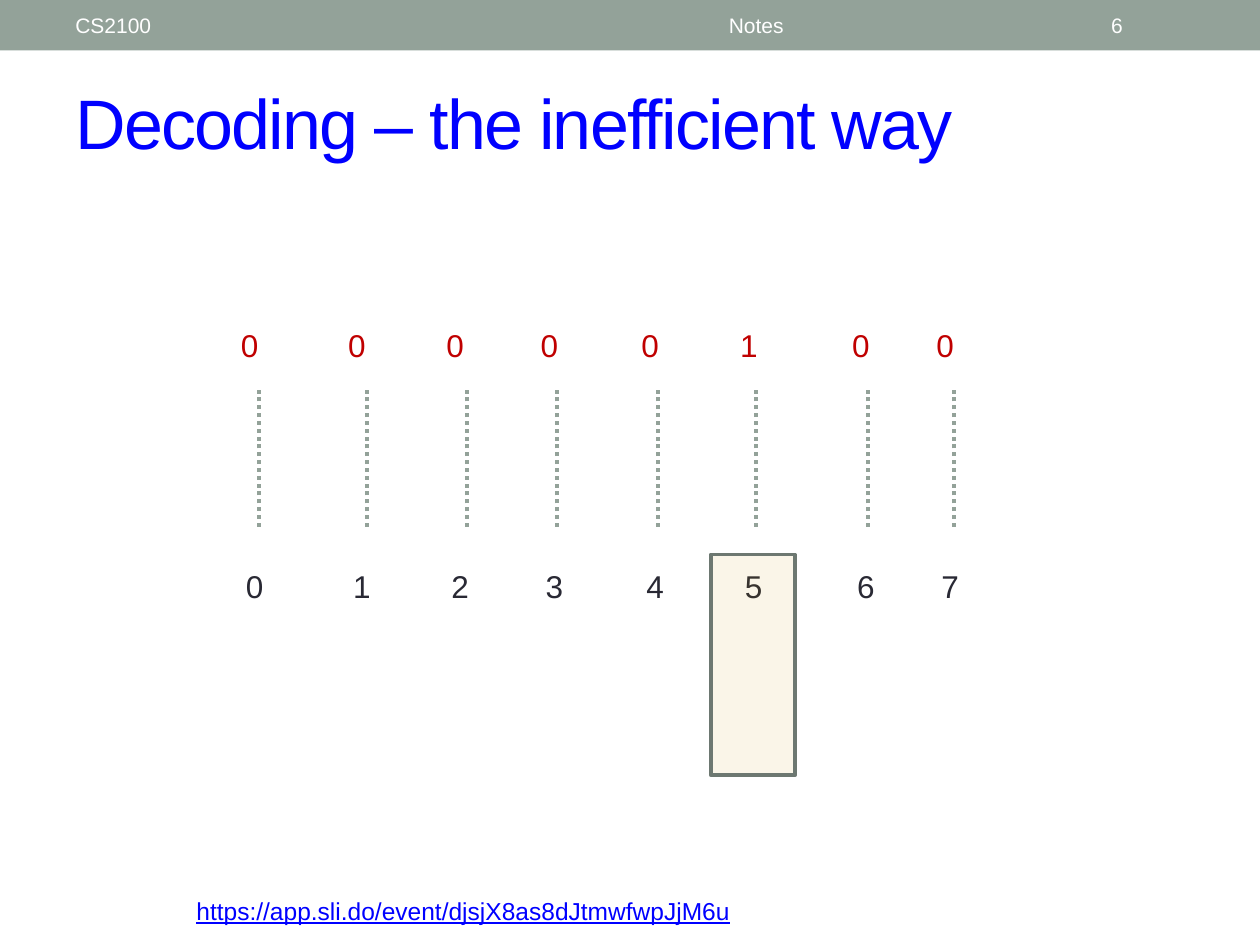
from dataclasses import dataclass

import pptx
import pptx.dml.color
import pptx.enum.dml
import pptx.enum.shapes
import pptx.enum.text
import pptx.oxml.ns
import pptx.util
from lxml import etree

Cm = pptx.util.Cm
Align = pptx.enum.text.PP_ALIGN
Anchor = pptx.enum.text.MSO_ANCHOR


@dataclass(frozen=True)
class Theme:
    font: str = "Arial"
    band: str = "93A299"
    white: str = "FFFFFF"
    blue: str = "0000FF"
    ink: str = "292934"
    red: str = "C00000"
    highlight: str = "CC9900"
    highlight_edge: str = "6D7871"
    header_size: int = 12
    link_size: int = 14
    digit_size: int = 18
    title_size: int = 40


@dataclass(frozen=True)
class Label:
    text: str
    left: float
    top: float
    width: float
    height: float
    size: int
    color: str
    align: Align = Align.LEFT
    anchor: Anchor = Anchor.MIDDLE
    underline: bool = False
    spacing: int = 0  # hundredths of a point
    grow: bool = False


@dataclass(frozen=True)
class OutputLine:
    number: int
    digit_left: float
    wire_x: float


THEME = Theme()
SELECTED = 5
DIGIT_WIDTH, DIGIT_HEIGHT = 1.07, 1.02
NUMBER_TOP, BIT_TOP = 11.3, 6.45
BIT_SHIFT = -0.1
WIRE_TOP, WIRE_BOTTOM = 7.87, 10.62

DIGIT_LEFTS = (4.6, 6.76, 8.74, 10.64, 12.67, 14.66, 16.92, 18.62)
WIRE_XS = (5.23, 7.39, 9.42, 11.23, 13.26, 15.24, 17.5, 19.23)
OUTPUTS = [OutputLine(number, left, x)
           for number, (left, x) in enumerate(zip(DIGIT_LEFTS, WIRE_XS))]

LABELS = [
    Label("https://app.sli.do/event/djsjX8as8dJtmwfwpJjM6u", 3.71, 17.93, 20.42, 0.86,
          THEME.link_size, THEME.blue, anchor=Anchor.TOP, underline=True, grow=True),
    Label("CS2100", 1.27, 0.05, 8.05, 0.91, THEME.header_size, THEME.white),
    Label("Notes", 9.53, 0.05, 11.43, 0.91, THEME.header_size, THEME.white, Align.CENTER),
    Label("6", 22.15, 0.05, 1.98, 0.91, THEME.header_size, THEME.white),
    Label("Decoding – the inefficient way", 1.27, 1.47, 22.86, 1.96,
          THEME.title_size, THEME.blue, spacing=-100),
]


def rgb(color: str) -> pptx.dml.color.RGBColor:
    return pptx.dml.color.RGBColor.from_string(color)


def add_label(slide, label: Label) -> None:
    box = slide.shapes.add_textbox(Cm(label.left), Cm(label.top),
                                   Cm(label.width), Cm(label.height))
    frame = box.text_frame
    frame.text = label.text
    frame.word_wrap = True
    frame.vertical_anchor = label.anchor
    if label.grow:
        frame.auto_size = pptx.enum.text.MSO_AUTO_SIZE.SHAPE_TO_FIT_TEXT
    paragraph = frame.paragraphs[0]
    paragraph.alignment = label.align
    run = paragraph.runs[0]
    run.font.name = THEME.font
    run.font.size = pptx.util.Pt(label.size)
    run.font.color.rgb = rgb(label.color)
    if label.underline:
        run.font.underline = True
    if label.spacing:
        run._r.get_or_add_rPr().set("spc", str(label.spacing))


def add_digit(slide, digit: str, left: float, top: float, color: str) -> None:
    add_label(slide, Label(digit, left, top, DIGIT_WIDTH, DIGIT_HEIGHT, THEME.digit_size,
                           color, Align.CENTER, Anchor.TOP, grow=True))


def add_wire(slide, x: float) -> None:
    wire = slide.shapes.add_connector(pptx.enum.shapes.MSO_CONNECTOR.STRAIGHT,
                                      Cm(x), Cm(WIRE_BOTTOM), Cm(x), Cm(WIRE_TOP))
    wire.line.color.rgb = rgb(THEME.band)
    wire.line.width = pptx.util.Pt(2.25)
    wire.line.dash_style = pptx.enum.dml.MSO_LINE.ROUND_DOT  # written as sysDot
    etree.SubElement(wire._element.spPr, pptx.oxml.ns.qn("a:effectLst"))


def add_rectangle(slide, left: float, top: float, width: float, height: float, color: str):
    rectangle = slide.shapes.add_shape(pptx.enum.shapes.MSO_SHAPE.RECTANGLE,
                                       Cm(left), Cm(top), Cm(width), Cm(height))
    rectangle.shadow.inherit = False
    rectangle.fill.solid()
    rectangle.fill.fore_color.rgb = rgb(color)
    rectangle.line.fill.background()
    return rectangle


def add_highlight(slide) -> None:
    highlight = add_rectangle(slide, 14.33, 11.18, 1.7, 4.45, THEME.highlight)
    highlight.line.color.rgb = rgb(THEME.highlight_edge)
    highlight.line.width = pptx.util.Pt(2.08)
    tint = highlight._element.spPr.find(".//" + pptx.oxml.ns.qn("a:srgbClr"))
    etree.SubElement(tint, pptx.oxml.ns.qn("a:alpha"), val="9000")


def main() -> None:
    deck = pptx.Presentation()
    deck.slide_width, deck.slide_height = Cm(25.4), Cm(19.05)
    slide = deck.slides.add_slide(deck.slide_layouts[6])

    # Header band, title and link
    add_rectangle(slide, 0, 0, 25.4, 1.02, THEME.band)
    for label in LABELS:
        add_label(slide, label)

    # Decoder outputs: number, dotted wire and bit
    for output in OUTPUTS:
        add_digit(slide, str(output.number), output.digit_left, NUMBER_TOP, THEME.ink)
        add_wire(slide, output.wire_x)
        bit = "1" if output.number == SELECTED else "0"
        add_digit(slide, bit, output.digit_left + BIT_SHIFT, BIT_TOP, THEME.red)

    # Selected output
    add_highlight(slide)

    deck.save("out.pptx")


if __name__ == "__main__":
    main()
